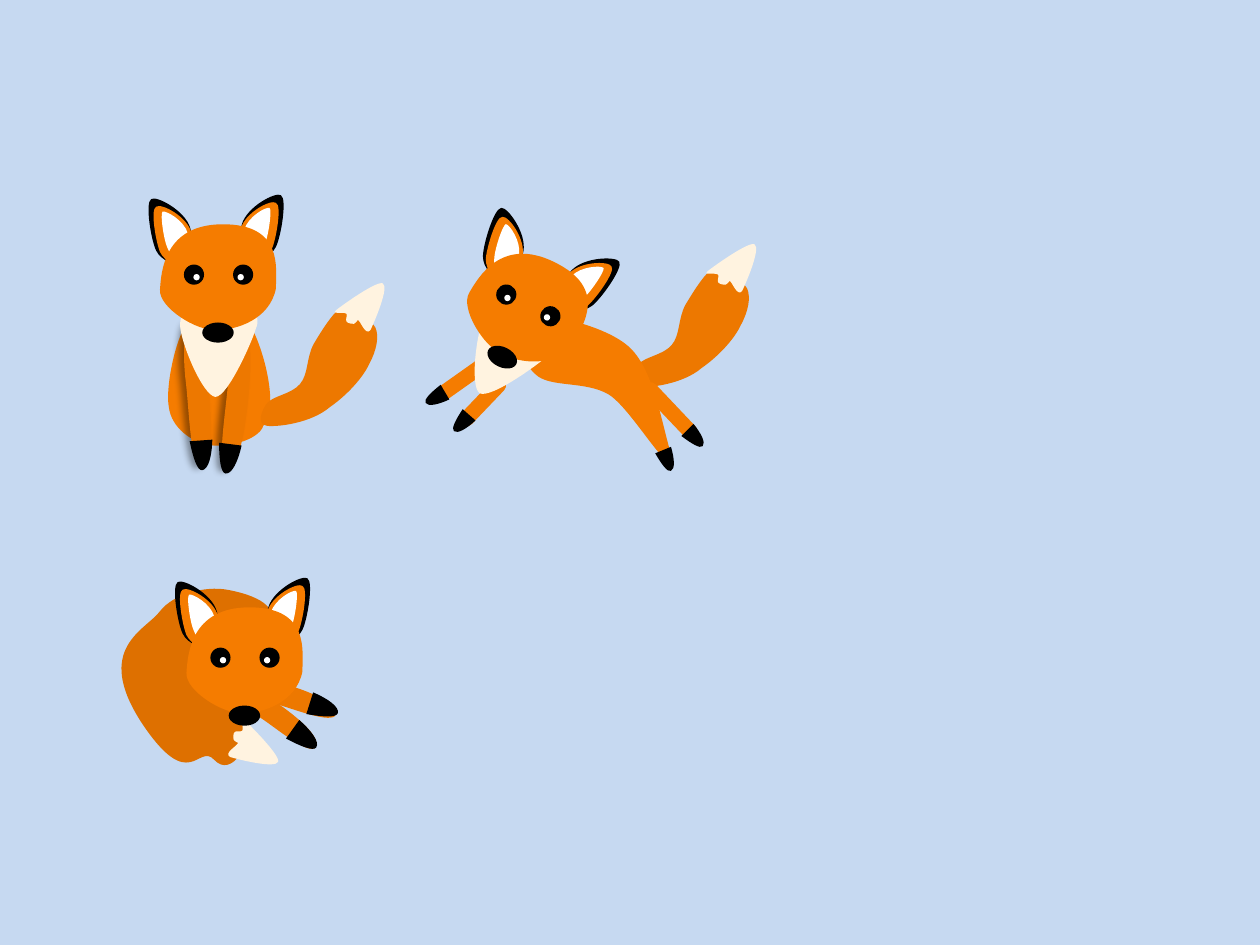
from dataclasses import dataclass, replace
from math import cos, radians, sin

from lxml.etree import SubElement
from pptx import Presentation
from pptx.dml.color import RGBColor
from pptx.enum.shapes import MSO_SHAPE as Shape
from pptx.oxml.ns import qn
from pptx.oxml.xmlchemy import OxmlElement
from pptx.util import Inches, Pt

SKY = RGBColor(0xC6, 0xD9, 0xF1)
ORANGE = RGBColor(0xF5, 0x7C, 0x00)
AMBER = RGBColor(0xED, 0x78, 0x00)
RUST = RGBColor(0xDE, 0x70, 0x00)
CREAM = RGBColor(0xFF, 0xF3, 0xE0)
BLACK = RGBColor(0, 0, 0)
WHITE = RGBColor(0xFF, 0xFF, 0xFF)

Point = tuple[float, float]


@dataclass(frozen=True)
class Pose:
    x: float
    y: float
    angle: float = 0
    sx: float = 1
    sy: float = 1


@dataclass(frozen=True)
class Outline:
    fill: RGBColor
    points: list[Point]
    origin: Point = (0, 0)
    tilt: float = 0
    shadow: bool = False


@dataclass(frozen=True)
class Oval:
    fill: RGBColor
    x: float
    y: float
    w: float
    h: float


def pairs(*values: float) -> list[Point]:
    return list(zip(values[::2], values[1::2]))


def turn(x: float, y: float, angle: float) -> Point:
    c, s = cos(radians(angle)), sin(radians(angle))
    return x * c - y * s, x * s + y * c


def paint(sp, fill: RGBColor, angle: float) -> None:
    sp.fill.solid()
    sp.fill.fore_color.rgb = fill
    sp.line.fill.background()
    sp.shadow.inherit = False
    sp.rotation = angle % 360


def cast_shadow(sp) -> None:
    effects = sp._element.spPr.find(qn("a:effectLst"))
    shadow = SubElement(effects, qn("a:outerShdw"), blurRad=str(Pt(4)),
                        dist=str(Pt(3)), dir="10800000", algn="r", rotWithShape="0")
    color = SubElement(shadow, qn("a:srgbClr"), val=str(BLACK))
    SubElement(color, qn("a:alpha"), val="40000")


def bend(sp) -> None:
    lines = list(sp._element.iter(qn("a:lnTo")))
    for i in range(0, len(lines), 3):
        curve = OxmlElement("a:cubicBezTo")
        lines[i].addprevious(curve)
        for line in lines[i:i + 3]:
            curve.append(line[0])
            line.getparent().remove(line)


def draw_outline(shapes, part: Outline, pose: Pose) -> None:
    ox, oy = part.origin
    local = [turn((x - ox) * pose.sx, (y - oy) * pose.sy, -part.tilt) for x, y in part.points]
    xs, ys = zip(*local)
    mx, my = (min(xs) + max(xs)) / 2, (min(ys) + max(ys)) / 2
    angle = pose.angle + part.tilt
    cx, cy = turn(mx, my, angle)
    (x0, y0), *rest = [(Inches(x), Inches(y)) for x, y in local]
    builder = shapes.build_freeform(x0, y0)
    builder.add_line_segments(rest, close=True)
    sp = builder.convert_to_shape(Inches(pose.x + cx - mx), Inches(pose.y + cy - my))
    bend(sp)
    paint(sp, part.fill, angle)
    if part.shadow:
        cast_shadow(sp)


def draw_preset(shapes, kind: Shape, fill: RGBColor, x: float, y: float,
                w: float, h: float, angle: float):
    sp = shapes.add_shape(kind, Inches(x - w / 2), Inches(y - h / 2), Inches(w), Inches(h))
    paint(sp, fill, angle)
    return sp


def draw_pill(shapes, x: float, y: float, w: float, angle: float) -> None:
    sp = draw_preset(shapes, Shape.ROUNDED_RECTANGLE, ORANGE, x, y, w, 0.12, angle)
    sp.adjustments[0] = 0.5


HEAD = (1.73, 2.2)
TAIL_TIP = (2.86, 2.44)
BIB_CENTER = (1.74, 2.68)

LEFT_EAR = [
    Outline(BLACK, pairs(1.24, 1.99, 1.2, 1.91, 1.15, 1.61, 1.2, 1.58, 1.24, 1.55, 1.47, 1.67, 1.51, 1.81,
                         1.55, 1.95, 1.48, 2.05, 1.44, 2.08, 1.39, 2.11, 1.28, 2.07, 1.24, 1.99), HEAD, -14.6),
    Outline(ORANGE, pairs(1.27, 2, 1.24, 1.93, 1.19, 1.66, 1.24, 1.64, 1.28, 1.61, 1.49, 1.72, 1.52, 1.85,
                          1.55, 1.97, 1.49, 2.06, 1.45, 2.09, 1.41, 2.12, 1.31, 2.08, 1.27, 2), HEAD, -14.6),
    Outline(WHITE, pairs(1.33, 1.97, 1.3, 1.91, 1.27, 1.7, 1.29, 1.68, 1.32, 1.67, 1.46, 1.75, 1.49, 1.85,
                         1.52, 1.95, 1.48, 2.02, 1.45, 2.04, 1.42, 2.05, 1.35, 2.03, 1.33, 1.97), HEAD, -14.6),
]
RIGHT_EAR = [replace(part, points=[(3.43 - x, y - 0.03) for x, y in part.points], tilt=-part.tilt)
             for part in LEFT_EAR]
FACE = Outline(ORANGE, pairs(1.27, 2.3, 1.28, 2.16, 1.3, 1.78, 1.77, 1.78, 2.25, 1.78, 2.19, 2.13, 2.19, 2.29,
                             2.14, 2.54, 1.87, 2.62, 1.72, 2.62, 1.56, 2.63, 1.26, 2.44, 1.27, 2.3), HEAD)
FEATURES = [
    Oval(BLACK, 1.73, 2.64, 0.25, 0.16),
    Oval(BLACK, 1.54, 2.18, 0.16, 0.16),
    Oval(WHITE, 1.56, 2.2, 0.05, 0.05),
    Oval(BLACK, 1.93, 2.18, 0.16, 0.16),
    Oval(WHITE, 1.91, 2.2, 0.05, 0.05),
]
BIB = Outline(CREAM, pairs(1.43, 2.59, 1.42, 2.45, 1.57, 2.38, 1.65, 2.32, 1.73, 2.27, 1.85, 2.16, 1.89, 2.26,
                           1.94, 2.36, 2.09, 2.49, 2.03, 2.61, 2.01, 2.69, 1.81, 3.15, 1.71, 3.15,
                           1.61, 3.14, 1.44, 2.73, 1.43, 2.59), BIB_CENTER)
TAIL = Outline(AMBER, pairs(2.12, 3.2, 2.17, 3.14, 2.31, 3.13, 2.38, 3.05, 2.45, 2.97, 2.43, 2.84, 2.49, 2.73,
                            2.55, 2.63, 2.7, 2.38, 2.75, 2.45, 2.79, 2.52, 2.95, 2.53, 2.98, 2.6,
                            3.01, 2.67, 2.99, 2.78, 2.93, 2.89, 2.88, 3, 2.75, 3.14, 2.62, 3.23,
                            2.47, 3.36, 2.2, 3.39, 2.12, 3.38, 2.03, 3.37, 2.08, 3.25, 2.12, 3.2), TAIL_TIP)
TIP = Outline(CREAM, pairs(2.67, 2.46, 2.72, 2.42, 3, 2.22, 3.04, 2.25, 3.09, 2.28, 2.97, 2.56, 2.94, 2.62,
                           2.9, 2.67, 2.86, 2.54, 2.84, 2.54, 2.83, 2.54, 2.83, 2.57, 2.81, 2.57,
                           2.8, 2.57, 2.76, 2.57, 2.75, 2.55, 2.74, 2.54, 2.76, 2.5, 2.75, 2.49,
                           2.72, 2.47, 2.62, 2.5, 2.67, 2.46), TAIL_TIP)
LEG = Outline(AMBER, pairs(-0.08, -0.13, -0.08, -0.33, -0.04, -0.58, 0.01, -0.58, 0.06, -0.58, 0.09, -0.38,
                           0.09, -0.13, 0.09, 0.11, 0.06, 0.57, -0.04, 0.57, -0.13, 0.57, -0.08, 0.06,
                           -0.08, -0.13))
PAW = Outline(BLACK, pairs(0.09, -0.11, 0.07, 0.02, 0.03, 0.12, -0.02, 0.12, -0.06, 0.12, -0.08, 0.01,
                           -0.09, -0.12))
SITTING_BODY = Outline(ORANGE, pairs(1.34, 3.23, 1.31, 3.07, 1.4, 2.64, 1.51, 2.53, 1.61, 2.42, 1.86, 2.43,
                                     1.97, 2.56, 2.07, 2.69, 2.23, 3.23, 2.09, 3.38, 2.05, 3.5, 1.78, 3.56,
                                     1.65, 3.53, 1.53, 3.51, 1.36, 3.4, 1.34, 3.23))
LEAPING_BODY = Outline(ORANGE, pairs(4.25, 2.97, 4.13, 2.87, 4.01, 2.54, 4.14, 2.5, 4.27, 2.47, 4.8, 2.57,
                                     5, 2.76, 5.2, 2.95, 5.26, 3.41, 5.34, 3.65, 5.3, 3.77, 5.01, 3.24,
                                     4.83, 3.13, 4.64, 3.02, 4.36, 3.08, 4.25, 2.97))
CURLED_BODY = Outline(RUST, pairs(2.07, 4.93, 1.99, 4.97, 1.73, 4.97, 1.64, 5.05, 1.56, 5.14, 1.53, 5.3,
                                  1.58, 5.42, 1.64, 5.54, 1.95, 5.68, 1.97, 5.78, 1.99, 5.89, 1.84, 6.18,
                                  1.7, 6.03, 1.57, 5.89, 1.51, 6.32, 1.12, 5.73, 0.74, 5.14, 1.16, 5,
                                  1.27, 4.85, 1.38, 4.71, 1.63, 4.65, 1.8, 4.68, 1.97, 4.71, 2.07, 4.76,
                                  2.11, 4.8, 2.16, 4.84, 2.15, 4.88, 2.07, 4.93), tilt=172.8)
IN_PLACE = Pose(0, 0)


def draw_head(shapes, pose: Pose) -> None:
    for part in [*RIGHT_EAR, *LEFT_EAR, FACE]:
        draw_outline(shapes, part, pose)
    for oval in FEATURES:
        dx, dy = turn(oval.x - HEAD[0], oval.y - HEAD[1], pose.angle)
        draw_preset(shapes, Shape.OVAL, oval.fill, pose.x + dx, pose.y + dy, oval.w, oval.h, pose.angle)


def draw_leg(shapes, leg: Pose, paw: Point, shadow: bool = False) -> None:
    draw_outline(shapes, replace(LEG, shadow=shadow), leg)
    draw_outline(shapes, PAW, Pose(*paw, leg.angle))


def draw_tail(shapes, pose: Pose) -> None:
    draw_outline(shapes, TAIL, pose)
    draw_outline(shapes, TIP, pose)


def draw_curled_fox(shapes) -> None:
    draw_leg(shapes, Pose(2.29, 5.53, 284.4, sy=0.7), (2.57, 5.61))
    draw_leg(shapes, Pose(2.19, 5.68, 302.5, sy=0.7), (2.42, 5.85))
    draw_outline(shapes, CURLED_BODY, IN_PLACE)
    draw_outline(shapes, TIP, Pose(1.99, 5.9, 80.7))
    draw_head(shapes, Pose(1.94, 5.24))


def draw_sitting_fox(shapes) -> None:
    draw_outline(shapes, SITTING_BODY, IN_PLACE)
    draw_leg(shapes, Pose(1.88, 3.18, 4), (1.82, 3.64), shadow=True)
    draw_leg(shapes, Pose(1.57, 3.15, 352.8), (1.61, 3.61), shadow=True)
    draw_outline(shapes, BIB, Pose(*BIB_CENTER))
    draw_head(shapes, Pose(*HEAD))
    draw_tail(shapes, Pose(*TAIL_TIP))


def draw_leaping_fox(shapes) -> None:
    draw_tail(shapes, Pose(5.81, 2.13))
    draw_outline(shapes, LEAPING_BODY, IN_PLACE)
    for x, y, w, angle in [(3.83, 3.19, 0.49, 313.7), (5.32, 3.26, 0.58, 46.5), (3.66, 3.02, 0.49, 324.7)]:
        draw_pill(shapes, x, y, w, angle)
    draw_outline(shapes, BIB, Pose(4.07, 2.73, 30.3))
    draw_head(shapes, Pose(4.18, 2.44, 26.2))
    for x, y, angle in [(3.46, 3.16, 56.1), (3.67, 3.36, 38), (5.3, 3.65, 334.5), (5.52, 3.47, 311.8)]:
        draw_outline(shapes, PAW, Pose(x, y, angle, 0.75, 0.75))


def main() -> None:
    prs = Presentation()
    prs.slide_width, prs.slide_height = Inches(10), Inches(7.5)
    s = prs.slides.add_slide(prs.slide_layouts[6])
    s.background.fill.solid()
    s.background.fill.fore_color.rgb = SKY
    for draw_fox in (draw_curled_fox, draw_sitting_fox, draw_leaping_fox):
        draw_fox(s.shapes.add_group_shape().shapes)
    prs.save("out.pptx")


if __name__ == "__main__":
    main()
